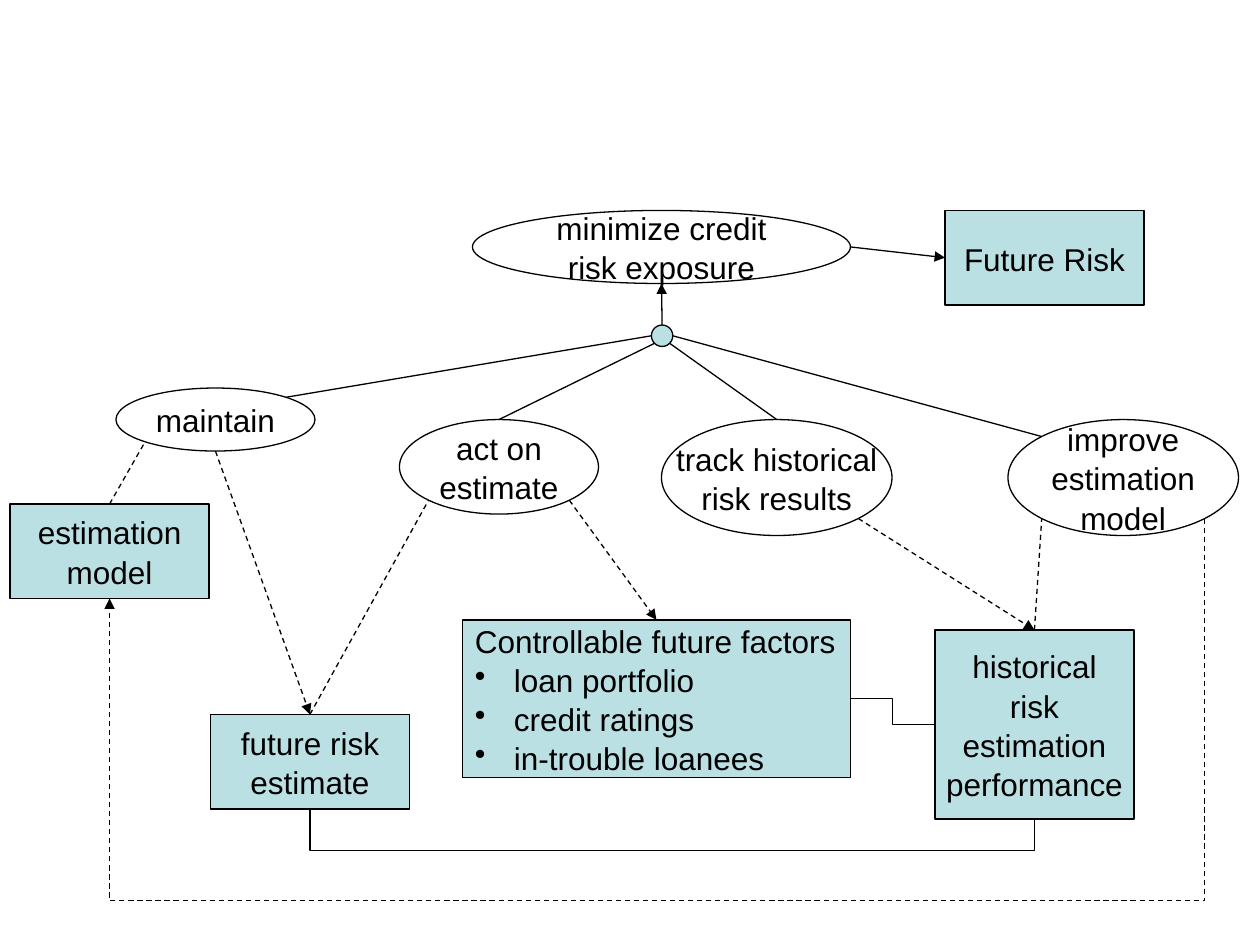
from math import sqrt

from lxml import etree
from pptx import Presentation
from pptx.dml.color import RGBColor
from pptx.enum.dml import MSO_LINE
from pptx.enum.shapes import MSO_CONNECTOR, MSO_SHAPE
from pptx.enum.text import MSO_ANCHOR, PP_ALIGN
from pptx.oxml.ns import qn
from pptx.util import Inches, Pt

RECT, OVAL = MSO_SHAPE.RECTANGLE, MSO_SHAPE.OVAL
STRAIGHT, ELBOW = MSO_CONNECTOR.STRAIGHT, MSO_CONNECTOR.ELBOW
DASH = MSO_LINE.DASH
MIDDLE = MSO_ANCHOR.MIDDLE
LEFT, CENTER = PP_ALIGN.LEFT, PP_ALIGN.CENTER

BLACK = RGBColor(0x00, 0x00, 0x00)
WHITE = RGBColor(0xFF, 0xFF, 0xFF)
TEAL = RGBColor(0xBB, 0xE0, 0xE3)

DIAGONAL = sqrt(0.5)
SIDES = {"top": (0, -1), "bottom": (0, 1), "left": (-1, 0), "right": (1, 0),
         "top left": (-DIAGONAL, -DIAGONAL), "top right": (DIAGONAL, -DIAGONAL),
         "bottom left": (-DIAGONAL, DIAGONAL), "bottom right": (DIAGONAL, DIAGONAL)}

# name: (left, top, width, height), lines of text
ENTITIES = {
    "future risk": ((7.5, 1.67, 1.58, 0.75), ["Future Risk"]),
    "risk estimate": ((1.67, 5.67, 1.58, 0.75), ["future risk", "estimate"]),
    "performance": ((7.42, 5, 1.58, 1.5),
                    ["historical", "risk", "estimation", "performance"]),
    "model": ((0.08, 4, 1.58, 0.75), ["estimation", "model"]),
}
GOALS = {
    "minimize": ((3.75, 1.67, 3, 0.58), ["minimize credit", "risk exposure"]),
    "maintain": ((0.92, 3.08, 1.58, 0.5), ["maintain"]),
    "act": ((3.17, 3.33, 1.58, 0.75), ["act on", "estimate"]),
    "track": ((5.25, 3.33, 1.83, 0.92), ["track historical", "risk results"]),
    "improve": ((8, 3.33, 1.83, 0.92), ["improve", "estimation", "model"]),
}
FACTORS = ["Controllable future factors", "loan portfolio", "credit ratings",
           "in-trouble loanees"]

# from, side, to, side, dashed, arrow
LINKS = [
    ("minimize", "right", "future risk", "left", False, True),
    ("maintain", "bottom", "risk estimate", "top", True, True),
    ("model", "top", "maintain", "bottom left", True, False),
    ("risk estimate", "top", "act", "bottom left", True, False),
    ("act", "bottom right", "factors", "top", True, True),
    ("track", "bottom right", "performance", "top", True, True),
    ("performance", "top", "improve", "bottom left", True, False),
    ("maintain", "top right", "junction", "left", False, False),
    ("act", "top", "junction", "bottom left", False, False),
    ("track", "top", "junction", "bottom right", False, False),
    ("improve", "top left", "junction", "right", False, False),
    ("junction", "top", "minimize", "bottom", False, True),
]


def add_node(slide, kind, box, fill, lines=(), align=CENTER):
    sp = slide.shapes.add_shape(kind, *map(Inches, box))
    sp.shadow.inherit = False
    sp.fill.solid()
    sp.fill.fore_color.rgb = fill
    sp.line.color.rgb = BLACK
    sp.line.width = Pt(0.75)
    tf = sp.text_frame
    tf.word_wrap = False
    tf.vertical_anchor = MIDDLE
    if lines:
        tf.text = "\n".join(lines)
    for p in tf.paragraphs:
        p.alignment = align
        p.line_spacing = 1.04
        p.font.name = "Arial"
        p.font.size = Pt(18)
        p.font.color.rgb = BLACK
    return sp


def add_factor_list(slide, box):
    sp = add_node(slide, RECT, box, TEAL, FACTORS, LEFT)
    for p in sp.text_frame.paragraphs[1:]:
        pPr = p._p.get_or_add_pPr()
        pPr.set("marL", str(Inches(0.31)))
        pPr.set("indent", str(-Inches(0.31)))
        bullet = etree.Element(qn("a:buChar"), char="•")
        pPr.find(qn("a:lnSpc")).addnext(bullet)
    return sp


def side_point(sp, side):
    fx, fy = SIDES[side]
    return (round(sp.left + sp.width * (1 + fx) / 2),
            round(sp.top + sp.height * (1 + fy) / 2))


def add_line(slide, kind, start, end, dashed=False, arrow=False):
    cxn = slide.shapes.add_connector(kind, *start, *end)
    cxn.line.color.rgb = BLACK
    cxn.line.width = Pt(0.75)
    if dashed:
        cxn.line.dash_style = DASH
    if arrow:
        etree.SubElement(cxn.line._get_or_add_ln(), qn("a:tailEnd"), type="triangle")
    etree.SubElement(cxn._element.spPr, qn("a:effectLst"))
    return cxn


def add_loop(slide, start, end, bottom, dashed=False, arrow=False):
    """Elbow that drops from start to bottom, runs across and rises to end."""
    (x1, y1), (x2, y2) = start, end
    mid_x, mid_y = (x1 + x2) // 2, (y1 + y2) // 2
    half_w, half_h = (y2 - y1) // 2, abs(x2 - x1) // 2
    leftward = x2 < x1
    if not leftward:
        half_w = -half_w
    cxn = add_line(slide, ELBOW, (mid_x - half_w, mid_y - half_h),
                   (mid_x + half_w, mid_y + half_h), dashed, arrow)
    spPr = cxn._element.spPr
    spPr.find(qn("a:xfrm")).set("rot", str((90 if leftward else 270) * 60000))
    geom = spPr.find(qn("a:prstGeom"))
    guides = geom.find(qn("a:avLst"))
    if guides is None:
        guides = etree.SubElement(geom, qn("a:avLst"))
    ratio = round((bottom - y1) / (y2 - y1) * 100000)
    etree.SubElement(guides, qn("a:gd"), name="adj1", fmla=f"val {ratio}")


def add_goal_diagram(slide):
    nodes = {}
    for name, (box, lines) in ENTITIES.items():
        nodes[name] = add_node(slide, RECT, box, TEAL, lines)
    for name, (box, lines) in GOALS.items():
        nodes[name] = add_node(slide, OVAL, box, WHITE, lines)
    nodes["factors"] = add_factor_list(slide, (3.67, 4.92, 3.08, 1.25))
    nodes["junction"] = add_node(slide, OVAL, (5.17, 2.58, 0.17, 0.17), TEAL)

    def point(name, side):
        return side_point(nodes[name], side)

    for source, side, target, target_side, dashed, arrow in LINKS:
        add_line(slide, STRAIGHT, point(source, side), point(target, target_side),
                 dashed, arrow)
    add_line(slide, ELBOW, point("factors", "right"), point("performance", "left"))
    add_loop(slide, point("risk estimate", "bottom"), point("performance", "bottom"),
             Inches(6.75))
    add_loop(slide, point("improve", "bottom right"), point("model", "bottom"),
             Inches(7.15), dashed=True, arrow=True)


def main():
    prs = Presentation()
    prs.slide_width, prs.slide_height = Inches(10), Inches(7.5)
    slide = prs.slides.add_slide(prs.slide_layouts[6])
    add_goal_diagram(slide)
    prs.save("out.pptx")


if __name__ == "__main__":
    main()
